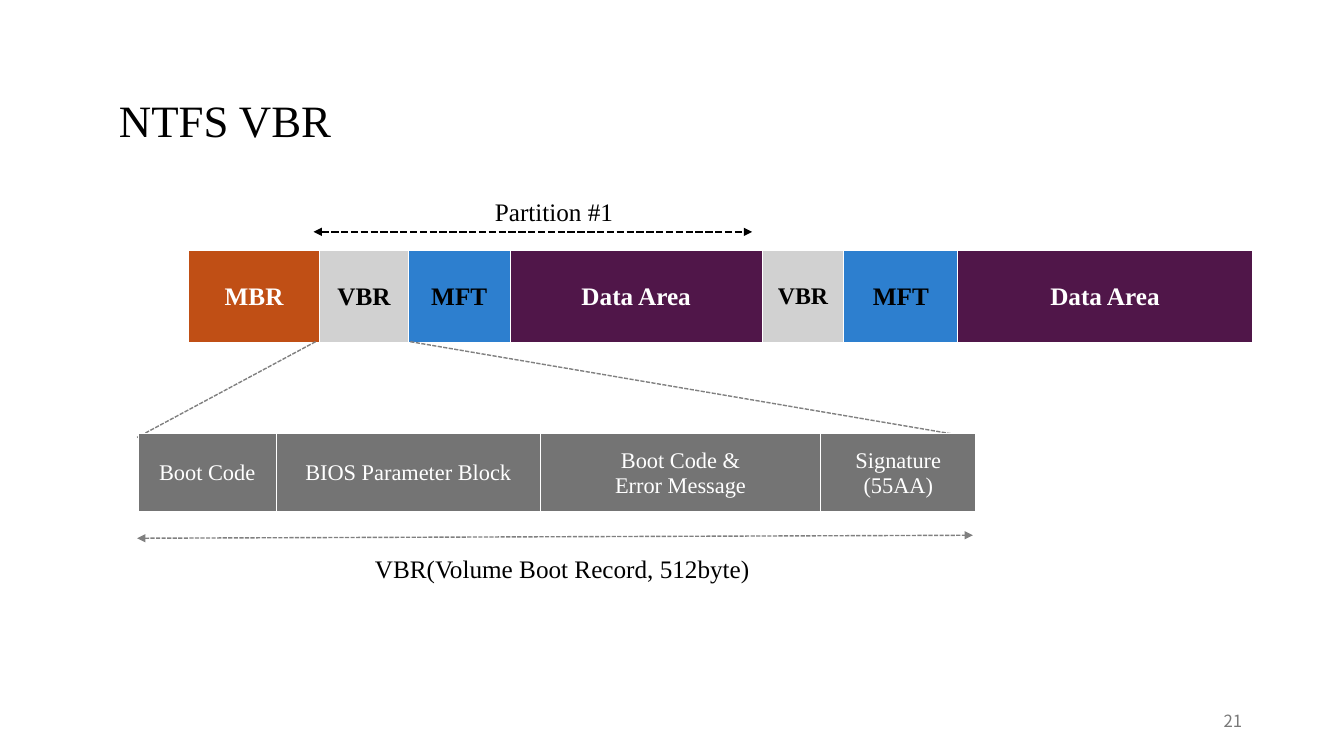
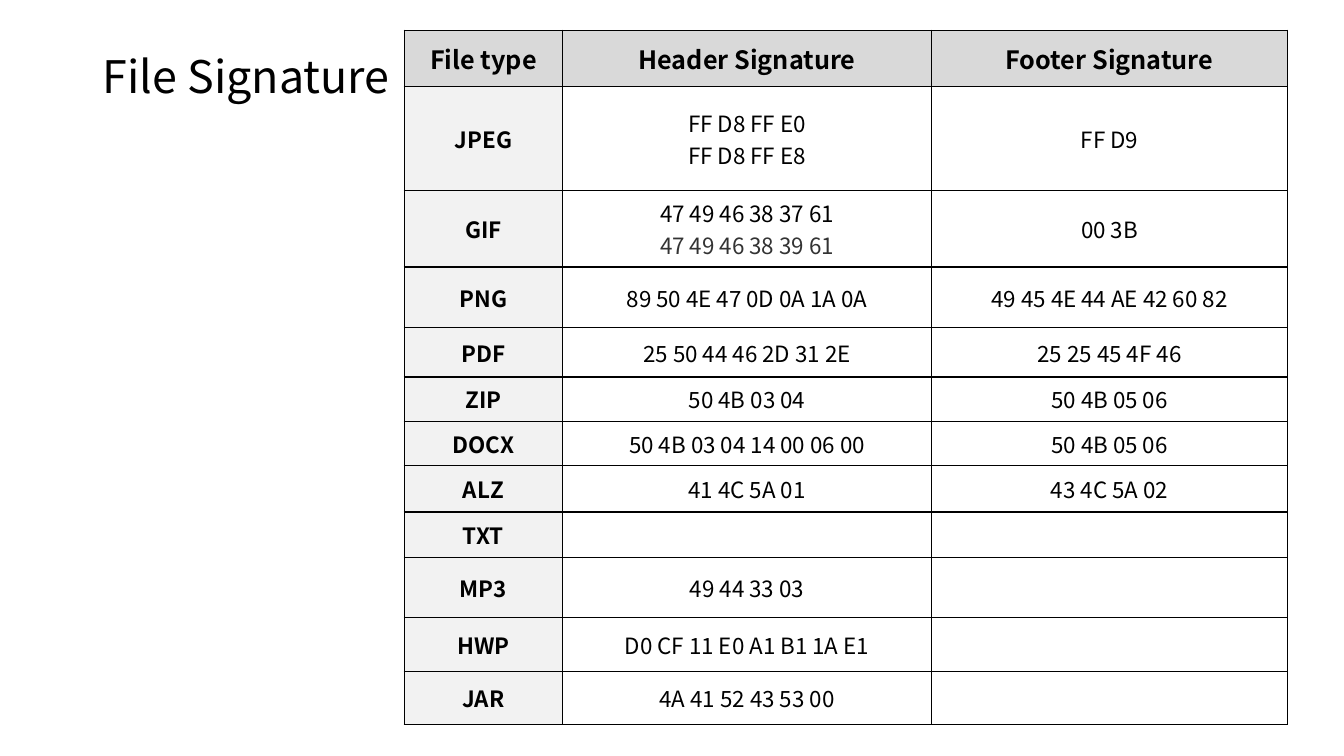
from dataclasses import dataclass

from lxml.etree import SubElement
from pptx import Presentation
from pptx.dml.color import RGBColor
from pptx.enum.dml import MSO_LINE
from pptx.enum.shapes import MSO_CONNECTOR
from pptx.enum.text import MSO_ANCHOR, MSO_AUTO_SIZE, PP_ALIGN
from pptx.oxml.ns import qn
from pptx.util import Inches, Pt


@dataclass(frozen=True)
class Theme:
    """Colours, fonts and type sizes shared by the slides."""
    serif: str = "Times New Roman"
    sans: str = "Noto Sans CJK KR"
    title_size: float = 32
    label_size: float = 18
    tight_size: float = 17
    body_size: float = 16
    number_size: float = 12
    ink: str = "000000"
    soft_ink: str = "333333"
    paper: str = "FFFFFF"
    number: str = "797979"
    guide: str = "808080"
    mbr: str = "C04F15"
    vbr: str = "D1D1D1"
    mft: str = "2D7FCF"
    data: str = "501649"
    field: str = "747474"
    header: str = "D9D9D9"
    file_type: str = "F2F2F2"


THEME = Theme()
ALL_BLACK = {side: (THEME.ink, 1) for side in "LRTB"}
WHITE_GAPS = {**{side: (THEME.paper, 1) for side in "LRT"}, "B": (THEME.paper, 3)}

DISK_AREAS = [
    ("MBR", 1.3, THEME.mbr, THEME.paper, THEME.label_size),
    ("VBR", 0.88, THEME.vbr, THEME.ink, THEME.label_size),
    ("MFT", 1.01, THEME.mft, THEME.ink, THEME.label_size),
    ("Data Area", 2.5, THEME.data, THEME.paper, THEME.label_size),
    ("VBR", 0.81, THEME.vbr, THEME.ink, THEME.tight_size),
    ("MFT", 1.13, THEME.mft, THEME.ink, THEME.label_size),
    ("Data Area", 2.92, THEME.data, THEME.paper, THEME.label_size),
]
VBR_FIELDS = [
    ("Boot Code", 1.37),
    ("BIOS Parameter Block", 2.62),
    ("Boot Code &\nError Message", 2.78),
    ("Signature\n(55AA)", 1.54),
]
SIGNATURE_COLUMNS = [1.57, 3.66, 3.53]
SIGNATURES = [
    (0.56, "File type", "Header Signature", "Footer Signature"),
    (1.03, "JPEG", "FF D8 FF E0\nFF D8 FF E8", "FF D9"),
    (0.76, "GIF", "47 49 46 38 37 61\n47 49 46 38 39 61", "00 3B"),
    (0.6, "PNG", "89 50 4E 47 0D 0A 1A 0A", "49 45 4E 44 AE 42 60 82"),
    (0.49, "PDF", "25 50 44 46 2D 31 2E", "25 25 45 4F 46"),
    (0.44, "ZIP", "50 4B 03 04", "50 4B 05 06"),
    (0.44, "DOCX", "50 4B 03 04 14 00 06 00", "50 4B 05 06"),
    (0.46, "ALZ", "41 4C 5A 01", "43 4C 5A 02"),
    (0.45, "TXT", "", ""),
    (0.6, "MP3", "49 44 33 03", ""),
    (0.53, "HWP", "D0 CF 11 E0 A1 B1 1A E1", ""),
    (0.53, "JAR", "4A 41 52 43 53 00", ""),
]


def rgb(color):
    """Turn a hex colour into an RGBColor."""
    return RGBColor.from_string(color)


def write(frame, text, font, size, color, bold=False, align=PP_ALIGN.LEFT, spacing=None):
    """Set the text of a frame and format all its runs."""
    frame.text = text
    for paragraph in frame.paragraphs:
        paragraph.alignment = align
        if spacing:
            paragraph.line_spacing = spacing
        for run in paragraph.runs:
            run.font.name = font
            run.font.size = Pt(size)
            run.font.bold = bold
            run.font.color.rgb = rgb(color)


def add_titled_slide(deck, text, box, font, anchor, spacing, wrap):
    """Add a title-only slide and place its title in the box."""
    slide = deck.slides.add_slide(deck.slide_layouts[5])
    title = slide.shapes.title
    title.left, title.top, title.width, title.height = map(Inches, box)
    frame = title.text_frame
    write(frame, text, font, THEME.title_size, THEME.ink, spacing=spacing)
    frame.vertical_anchor = anchor
    frame.auto_size = MSO_AUTO_SIZE.NONE
    frame.word_wrap = wrap
    return slide


def add_label(slide, text, box):
    """Add a one-line serif label."""
    frame = slide.shapes.add_textbox(*map(Inches, box)).text_frame
    write(frame, text, THEME.serif, THEME.label_size, THEME.ink)
    frame.word_wrap = False
    frame.auto_size = MSO_AUTO_SIZE.SHAPE_TO_FIT_TEXT


def add_page_number(slide, text, box):
    """Add the page number at the right of its box."""
    frame = slide.shapes.add_textbox(*map(Inches, box)).text_frame
    write(frame, text, THEME.sans, THEME.number_size, THEME.number, align=PP_ALIGN.RIGHT)
    frame.word_wrap = True
    frame.vertical_anchor = MSO_ANCHOR.MIDDLE


def add_dashed_line(slide, start, end, color, width, arrows=False):
    """Draw a dashed line, with arrowheads at both ends if asked."""
    line = slide.shapes.add_connector(MSO_CONNECTOR.STRAIGHT, *map(Inches, (*start, *end)))
    line.line.color.rgb = rgb(color)
    line.line.width = Pt(width)
    line.line.dash_style = MSO_LINE.SQUARE_DOT
    if arrows:
        outline = line.line._get_or_add_ln()
        for tag in ("a:headEnd", "a:tailEnd"):
            SubElement(outline, qn(tag)).set("type", "triangle")
    SubElement(line._element.spPr, qn("a:effectLst"))


def add_grid(slide, left, top, columns, rows):
    """Add an unstyled table with the given column widths and row heights."""
    box = map(Inches, (left, top, sum(columns), sum(rows)))
    grid = slide.shapes.add_table(len(rows), len(columns), *box).table
    grid.first_row = grid.horz_banding = False
    for column, width in zip(grid.columns, columns):
        column.width = Inches(width)
    for row, height in zip(grid.rows, rows):
        row.height = Inches(height)
    return grid


def style_cell(cell, text, fill, borders, font, size, color, bold=False):
    """Give a cell its borders, fill and centred text."""
    properties = cell._tc.get_or_add_tcPr()
    for side, (border_color, width) in borders.items():
        border = SubElement(properties, qn(f"a:ln{side}"), w=str(Pt(width)))
        solid = SubElement(border, qn("a:solidFill"))
        SubElement(solid, qn("a:srgbClr"), val=border_color)
    cell.fill.solid()
    cell.fill.fore_color.rgb = rgb(fill)
    cell.vertical_anchor = MSO_ANCHOR.MIDDLE
    write(cell.text_frame, text, font, size, color, bold, PP_ALIGN.CENTER)


def add_disk_layout(slide, left, top, height):
    """Draw the disk areas with the extent of the first partition above."""
    disk = add_grid(slide, left, top, [area[1] for area in DISK_AREAS], [height])
    for cell, (name, _, fill, color, size) in zip(disk.rows[0].cells, DISK_AREAS):
        style_cell(cell, name, fill, WHITE_GAPS, THEME.serif, size, color, True)
    extent = top - 0.18
    add_dashed_line(slide, (left + 1.24, extent), (left + 5.59, extent), THEME.ink, 1.75, True)
    add_label(slide, "Partition #1", (left + 2.94, top - 0.58, 1.39, 0.4))


def add_vbr_detail(slide, left, top, height, source_left, source_right, source_bottom):
    """Draw the fields of the VBR, fanned out from its place on the disk."""
    right = left + 8.28
    for source, target in ((source_left, left - 0.01), (source_right, right)):
        add_dashed_line(slide, (source, source_bottom), (target, top + 0.04), THEME.guide, 1)
    record = add_grid(slide, left, top, [width for _, width in VBR_FIELDS], [height])
    for cell, (name, _) in zip(record.rows[0].cells, VBR_FIELDS):
        style_cell(cell, name, THEME.field, WHITE_GAPS, THEME.serif, THEME.body_size, THEME.paper)
    add_dashed_line(slide, (left - 0.01, top + 1.04), (right, top + 1.01), THEME.guide, 1, True)
    add_label(slide, "VBR(Volume Boot Record, 512byte)", (left + 2.25, top + 1.14, 3.96, 0.4))


def add_signature_table(slide, left, top):
    """Draw the table of header and footer signatures by file type."""
    grid = add_grid(slide, left, top, SIGNATURE_COLUMNS, [row[0] for row in SIGNATURES])
    for row_index, (_, *texts) in enumerate(SIGNATURES):
        heading = row_index == 0
        for column_index, text in enumerate(texts):
            cell = grid.cell(row_index, column_index)
            naming = column_index == 0
            fill = THEME.header if heading else THEME.file_type if naming else THEME.paper
            size = THEME.label_size if heading else THEME.body_size
            style_cell(cell, text, fill, ALL_BLACK, THEME.sans, size, THEME.ink, heading or naming)
            cell.margin_left = cell.margin_right = Inches(0.02)
            cell.margin_top = cell.margin_bottom = Inches(0.02)
    second_gif = grid.cell(2, 1).text_frame.paragraphs[1]
    second_gif.runs[0].font.color.rgb = rgb(THEME.soft_ink)


def build_vbr_slide(deck):
    """Build the slide on the NTFS volume boot record."""
    slide = add_titled_slide(deck, "NTFS VBR", (1.08, 0.6, 2.33, 0.81), THEME.serif,
                             MSO_ANCHOR.TOP, 1.5, False)
    add_page_number(slide, "21", (9.42, 6.95, 3, 0.4))
    add_disk_layout(slide, 1.87, 2.48, 0.93)
    add_vbr_detail(slide, 1.37, 4.3, 0.79, 3.13, 4.07, 3.39)


def build_signature_slide(deck):
    """Build the slide on file signatures."""
    slide = add_titled_slide(deck, "File Signature", (0.92, 0.27, 11.5, 1.02), THEME.sans,
                             MSO_ANCHOR.MIDDLE, 0.9, True)
    add_signature_table(slide, 4.01, 0.3)


def main():
    """Build and save the deck."""
    deck = Presentation()
    deck.slide_width, deck.slide_height = Inches(13.33), Inches(7.5)
    build_vbr_slide(deck)
    build_signature_slide(deck)
    deck.save("out.pptx")


if __name__ == "__main__":
    main()
